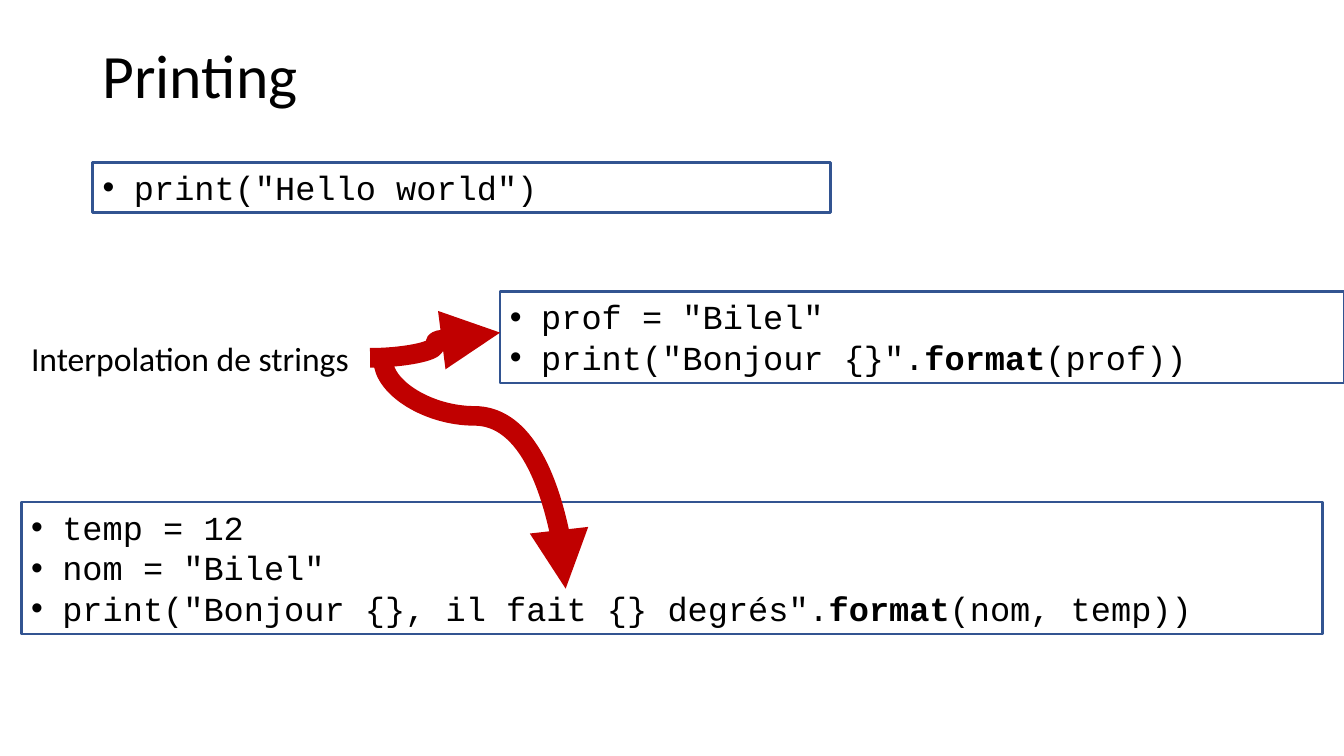
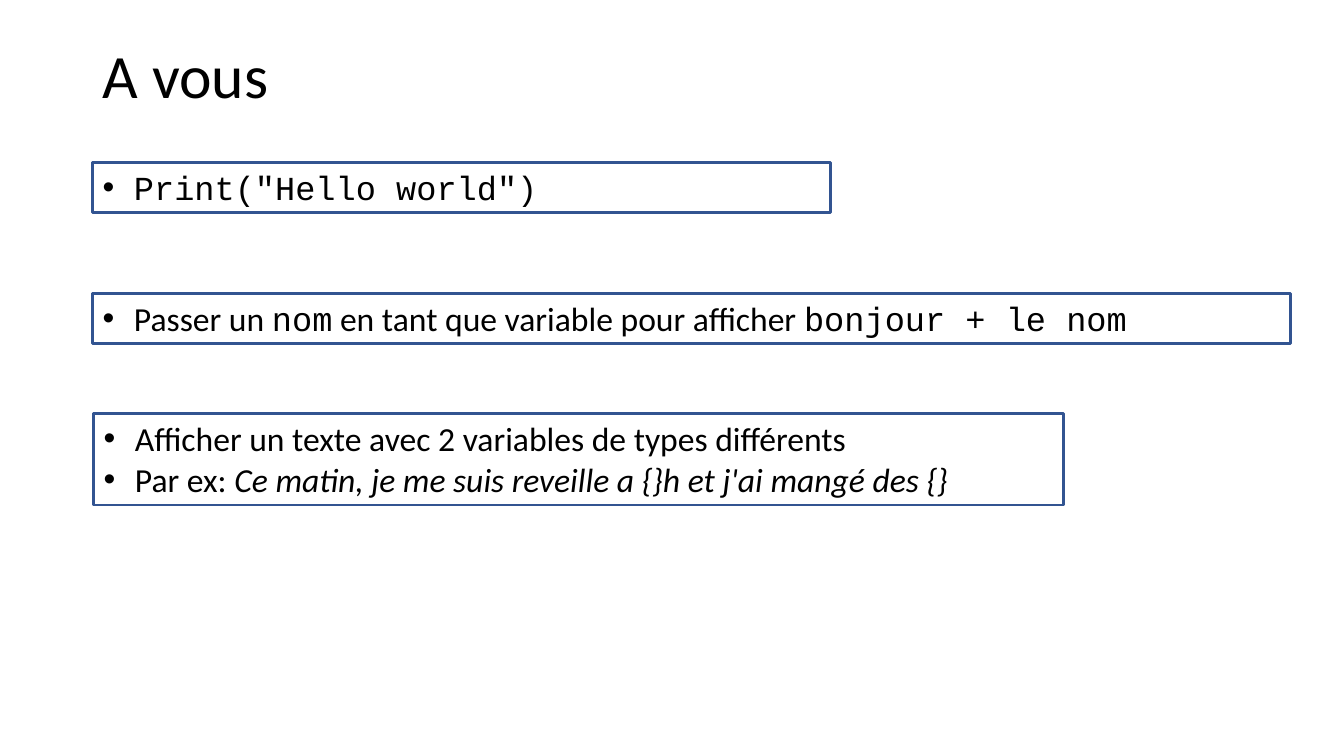
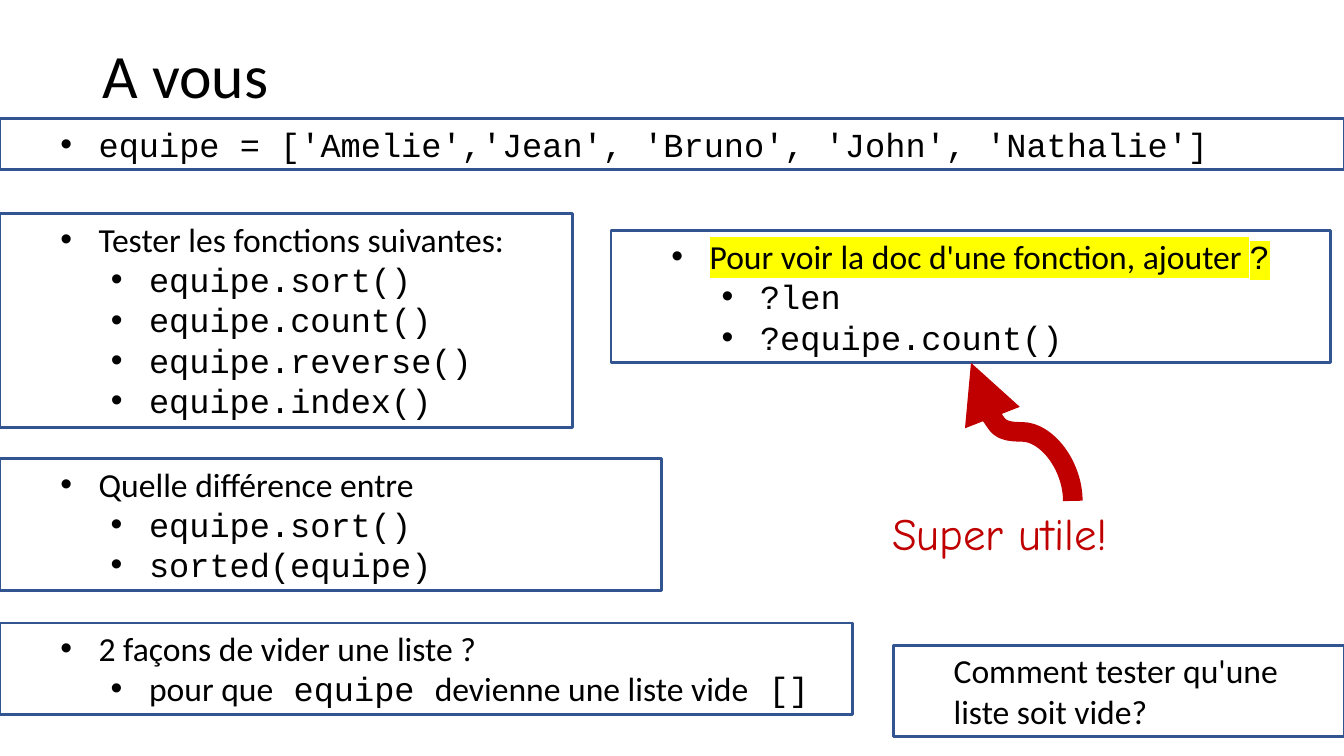
import pptx
import pptx.util
import pptx.dml.color
import pptx.enum.shapes
import pptx.enum.text
import pptx.oxml
import pptx.oxml.ns
import lxml.etree

Inches = pptx.util.Inches
Pt = pptx.util.Pt
qn = pptx.oxml.ns.qn

COLOURS = {"ink": "000000", "frame": "325491", "accent": "C00000", "marker": "FFFF00"}

# name: font, size, colour, bold, italic, highlighted
STYLES = {
    "title": ("Calibri", 44, "ink", False, False, False),
    "text": ("Calibri", 24, "ink", False, False, False),
    "example": ("Calibri", 24, "ink", False, True, False),
    "code": ("Courier New", 24, "ink", False, False, False),
    "method": ("Courier New", 24, "ink", True, False, False),
    "marked text": ("Calibri", 24, "ink", False, False, True),
    "marked code": ("Courier New", 24, "ink", False, False, True),
    "remark": ("Comic Neue", 32, "accent", False, False, False),
}

# name: outline level, left margin, first-line indent, bullet
PARAGRAPHS = {
    "plain": (0, 0, 0, False),
    "item": (0, 0.31, -0.31, True),
    "main": (1, 0.88, -0.38, True),
    "sub": (1 + 1, 1.38, -0.38, True),
    "question": (1, 0.5, 0, False),
}

# Each box: (left, top, width, height), then paragraphs of (kind, (style, text), ...)
# Each label adds whether it wraps; each curve: start, end, bend, leaves vertically
SLIDES = [
    {
        "title": "Printing",
        "title height": 1.45,
        "boxes": [
            ((0.92, 1.61, 7.32, 0.5), [("item", ("code", 'print("Hello world")'))]),
            ((4.96, 2.89, 8.37, 0.91), [
                ("item", ("code", 'prof = "Bilel"')),
                ("item", ("code", 'print("Bonjour {}".'), ("method", "format"), ("code", "(prof))")),
            ]),
            ((0.21, 4.98, 12.91, 1.31), [
                ("item", ("code", "temp = 12")),
                ("item", ("code", 'nom = "Bilel"')),
                ("item", ("code", 'print("Bonjour {}, il fait {} degrés".'),
                 ("method", "format"), ("code", "(nom, temp))")),
            ]),
        ],
        "labels": [((0.21, 3.3, 3.46, 0.5), [("plain", ("text", "Interpolation de strings"))], False)],
        "curves": [
            ((3.67, 3.55), (4.96, 3.3), 0.5, False),
            ((3.8, 3.57), (5.61, 5.84), 0.245, True),
        ],
    },
    {
        "title": "A vous",
        "title height": 1.45,
        "boxes": [
            ((0.92, 1.61, 7.32, 0.5), [("item", ("code", 'Print("Hello world")'))]),
            ((0.92, 2.91, 11.88, 0.5), [
                ("item", ("text", "Passer un "), ("code", "nom"),
                 ("text", " en tant que variable pour afficher "), ("code", "bonjour + le nom")),
            ]),
            ((0.93, 4.1, 9.62, 0.91), [
                ("item", ("text", "Afficher un texte avec 2 variables de types différents")),
                ("item", ("text", "Par ex: "),
                 ("example", "Ce matin, je me suis reveille a {}h et j'ai mangé des {}")),
            ]),
        ],
        "labels": [],
        "curves": [],
    },
    {
        "title": "A vous",
        "title height": 0.78,
        "boxes": [
            ((0, 1.18, 13.33, 0.5), [
                ("main", ("code", "equipe = ['Amelie','Jean', 'Bruno', 'John', 'Nathalie']")),
            ]),
            ((0, 2.12, 5.68, 2.12), [
                ("main", ("text", "Tester les fonctions suivantes:")),
                ("sub", ("code", "equipe.sort()")),
                ("sub", ("code", "equipe.count()")),
                ("sub", ("code", "equipe.reverse()")),
                ("sub", ("code", "equipe.index()")),
            ]),
            ((0, 4.55, 6.56, 1.31), [
                ("main", ("text", "Quelle différence entre")),
                ("sub", ("code", "equipe.sort()")),
                ("sub", ("code", "sorted(equipe)")),
            ]),
            ((0, 6.18, 8.46, 0.91), [
                ("main", ("text", "2 façons de vider une liste ?")),
                ("sub", ("text", "pour que"), ("code", " equipe "),
                 ("text", "devienne une liste vide"), ("code", " []")),
            ]),
            ((6.06, 2.29, 7.14, 1.31), [
                ("main", ("marked text", "Pour voir la doc d'une fonction, ajouter "), ("marked code", "?")),
                ("sub", ("code", "?len")),
                ("sub", ("code", "?equipe.count()")),
            ]),
            ((8.86, 6.4, 4.47, 0.91), [
                ("question", ("text", "Comment tester qu'une liste soit vide?")),
            ]),
        ],
        "labels": [((8.75, 4.97, 3.8, 0.64), [("plain", ("remark", "Super utile!"))], True)],
        "curves": [((10.64, 4.97), (9.63, 3.6), 0.5, True)],
    },
]


def write_paragraphs(frame, paragraphs, wrap=True):
    frame.word_wrap = wrap
    frame.vertical_anchor = pptx.enum.text.MSO_ANCHOR.TOP
    for index, (kind, *runs) in enumerate(paragraphs):
        para = frame.paragraphs[0] if index == 0 else frame.add_paragraph()
        para.alignment = pptx.enum.text.PP_ALIGN.LEFT
        level, margin, indent, bulleted = PARAGRAPHS[kind]
        para.level = level
        properties = para._p.get_or_add_pPr()
        properties.set("marL", str(Inches(margin)))
        properties.set("indent", str(Inches(indent)))
        if bulleted:
            lxml.etree.SubElement(properties, qn("a:buFont"), typeface="Arial")
            lxml.etree.SubElement(properties, qn("a:buChar"), char="•")
        for style, text in runs:
            font_name, size, colour, bold, italic, highlighted = STYLES[style]
            span = para.add_run()
            span.text = text
            span.font.size = Pt(size)
            span.font.bold = bold
            span.font.italic = italic
            span.font.color.rgb = pptx.dml.color.RGBColor.from_string(COLOURS[colour])
            if highlighted:
                highlight = lxml.etree.SubElement(span.font._element, qn("a:highlight"))
                lxml.etree.SubElement(highlight, qn("a:srgbClr"), val=COLOURS["marker"])
            span.font.name = font_name


def draw_curve(page, start, end, bend, vertical):
    """Draw an S-shaped arrow; a vertical one is laid out sideways and then turned by 270 degrees."""
    if vertical:
        middle_x, middle_y = (start[0] + end[0]) / 2, (start[1] + end[1]) / 2
        start, end = [(middle_x - (y - middle_y), middle_y + (x - middle_x)) for x, y in (start, end)]
    curve = page.shapes.add_connector(
        pptx.enum.shapes.MSO_CONNECTOR.CURVE, *[Inches(value) for value in (*start, *end)])
    curve.line.color.rgb = pptx.dml.color.RGBColor.from_string(COLOURS["accent"])
    curve.line.width = Pt(14)
    properties = curve._element.spPr
    if vertical:
        properties.find(qn("a:xfrm")).set("rot", str(270 * 60000))
    geometry = properties.find(qn("a:prstGeom"))
    adjustments = geometry.find(qn("a:avLst"))
    if adjustments is None:
        adjustments = lxml.etree.SubElement(geometry, qn("a:avLst"))
    lxml.etree.SubElement(adjustments, qn("a:gd"), name="adj1", fmla=f"val {round(bend * 100000)}")
    lxml.etree.SubElement(properties.find(qn("a:ln")), qn("a:tailEnd"), type="triangle")
    lxml.etree.SubElement(properties, qn("a:effectLst"))


deck = pptx.Presentation()
deck.slide_width = Inches(13.33)
deck.slide_height = Inches(7.5)

for content in SLIDES:
    page = deck.slides.add_slide(deck.slide_layouts[6])

    for place, paragraphs in content["boxes"]:
        box = page.shapes.add_shape(
            pptx.enum.shapes.MSO_SHAPE.RECTANGLE, *[Inches(value) for value in place])
        box.shadow.inherit = False
        box.fill.background()
        box.line.color.rgb = pptx.dml.color.RGBColor.from_string(COLOURS["frame"])
        box.line.width = Pt(2)
        write_paragraphs(box.text_frame, paragraphs)
        box.text_frame.auto_size = pptx.enum.text.MSO_AUTO_SIZE.SHAPE_TO_FIT_TEXT

    title = page.shapes.add_textbox(
        Inches(0.92), Inches(0.4), Inches(11.5), Inches(content["title height"]))
    write_paragraphs(title.text_frame, [("plain", ("title", content["title"]))])
    title.text_frame.paragraphs[0].line_spacing = 0.9

    for place, paragraphs, wrap in content["labels"]:
        label = page.shapes.add_textbox(*[Inches(value) for value in place])
        write_paragraphs(label.text_frame, paragraphs, wrap)
        label.text_frame.auto_size = pptx.enum.text.MSO_AUTO_SIZE.SHAPE_TO_FIT_TEXT

    for start, end, bend, vertical in content["curves"]:
        draw_curve(page, start, end, bend, vertical)

deck.save("out.pptx")
